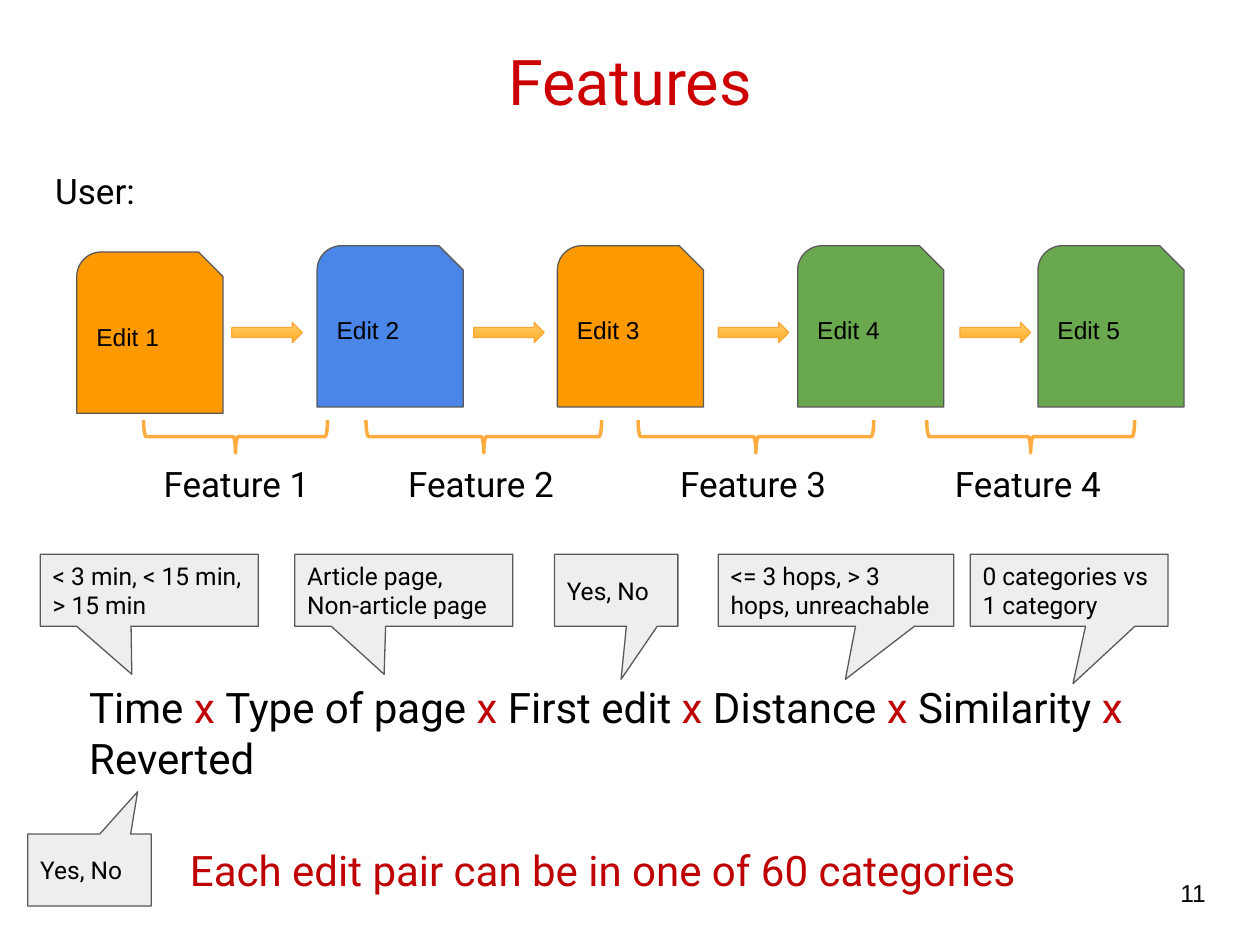
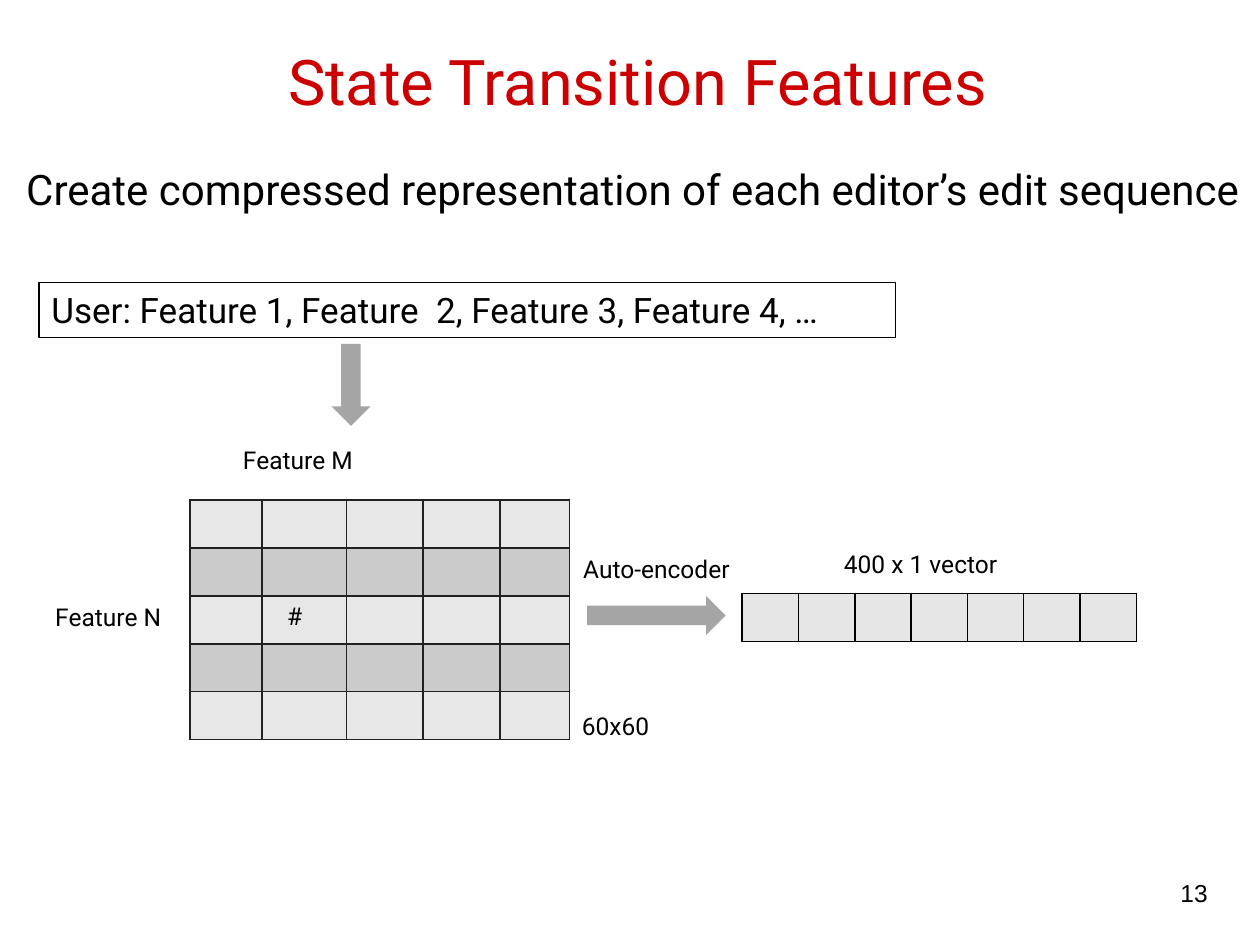
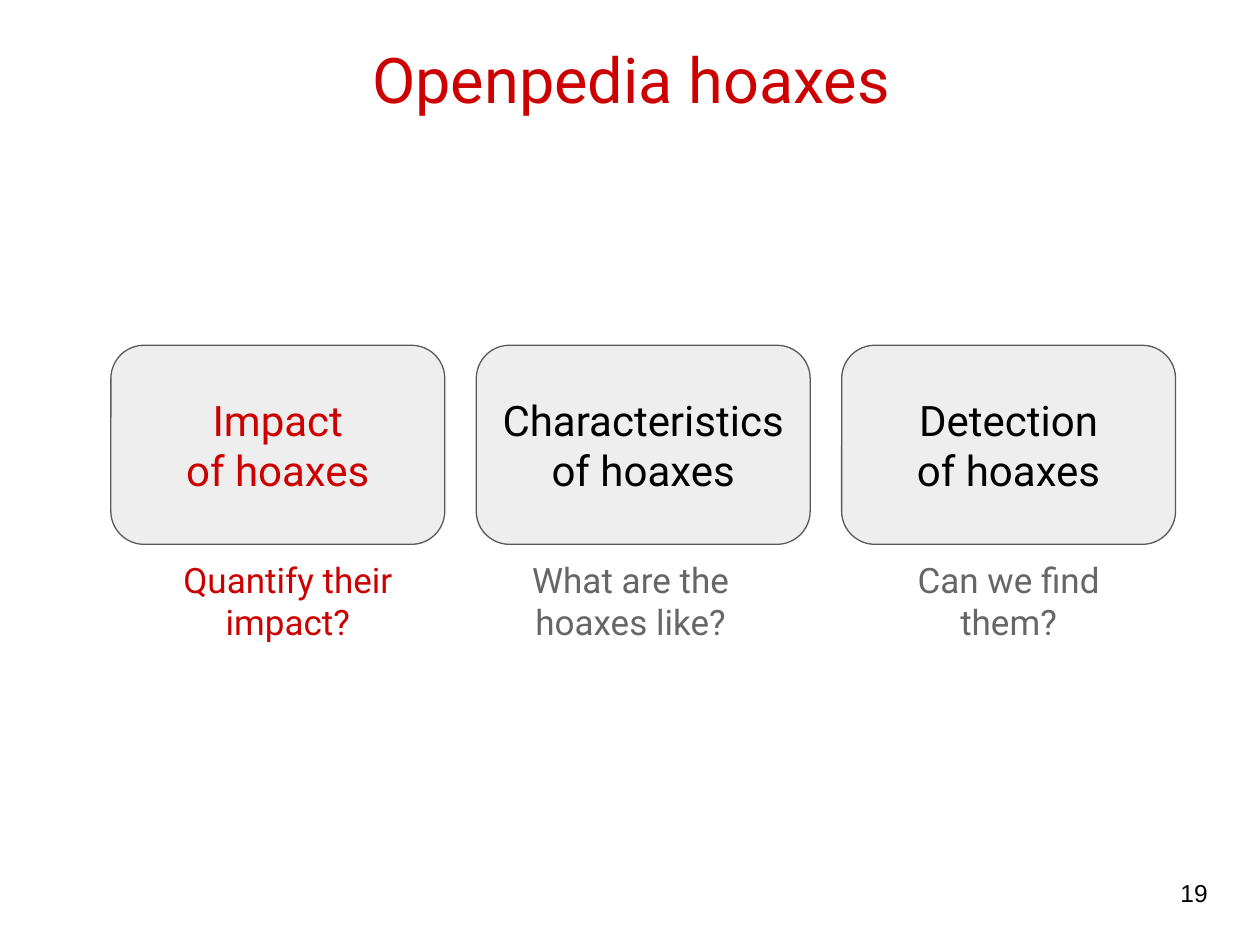
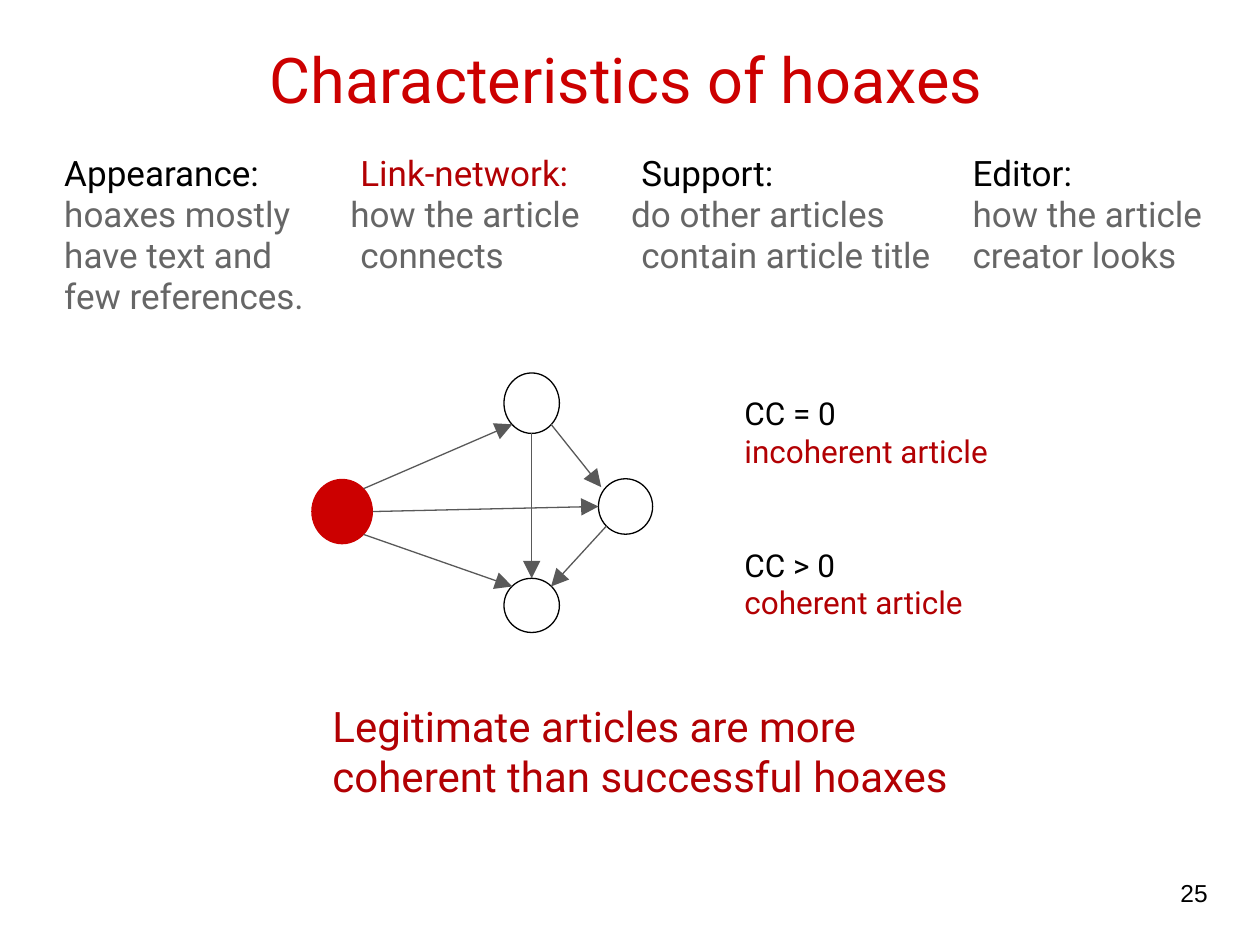
from lxml.etree import SubElement
from pptx import Presentation
from pptx.dml.color import RGBColor
from pptx.enum.shapes import MSO_CONNECTOR, MSO_SHAPE
from pptx.enum.text import MSO_ANCHOR, PP_ALIGN
from pptx.oxml.ns import qn
from pptx.util import Inches, Pt

BLACK = RGBColor(0x00, 0x00, 0x00)
WHITE = RGBColor(0xFF, 0xFF, 0xFF)
TITLE_RED = RGBColor(0xCC, 0x00, 0x00)
FORMULA_RED = RGBColor(0xBE, 0x00, 0x03)
DEEP_RED = RGBColor(0xB2, 0x00, 0x03)
MUTED = RGBColor(0x66, 0x66, 0x66)
OUTLINE = RGBColor(0x59, 0x59, 0x59)
PANEL = RGBColor(0xEE, 0xEE, 0xEE)
ARROW_GRAY = RGBColor(0xA5, 0xA5, 0xA5)
ORANGE = RGBColor(0xFF, 0x99, 0x00)
BLUE = RGBColor(0x4A, 0x86, 0xE8)
GREEN = RGBColor(0x6A, 0xA8, 0x4F)
BRACE = RGBColor(0xFF, 0xAB, 0x40)
ARROW_EDGE = RGBColor(0xFD, 0xA7, 0x39)
ARROW_DARK = RGBColor(0xFF, 0xAE, 0x23)
ARROW_LIGHT = RGBColor(0xFF, 0xCE, 0x6C)
CELL_LIGHT = RGBColor(0xE7, 0xE7, 0xE7)
CELL_DARK = RGBColor(0xCB, 0xCB, 0xCB)
CELL_VECTOR = RGBColor(0xE6, 0xE6, 0xE6)
CELL_EDGE = RGBColor(0x21, 0x21, 0x21)

deck = Presentation()
deck.slide_width = Inches(10)
deck.slide_height = Inches(7.5)
COLUMN = deck.slide_width // 100
ROW = deck.slide_height // 75


def place(page, kind, left, top, width, height, fill=None, line=None, weight=0.75):
    area = [round(left * COLUMN), round(top * ROW), round(width * COLUMN), round(height * ROW)]
    if kind is None:
        return page.shapes.add_textbox(*area)
    shape = page.shapes.add_shape(kind, *area)
    shape.shadow.inherit = False
    if fill is None:
        shape.fill.background()
    else:
        shape.fill.solid()
        shape.fill.fore_color.rgb = fill
    if line is None:
        shape.line.fill.background()
    else:
        shape.line.color.rgb = line
        shape.line.width = Pt(weight)
    return shape


def write(box, text, size, colors=(BLACK,), font="Roboto", align=PP_ALIGN.LEFT,
          anchor=MSO_ANCHOR.TOP, inset=1):
    frame = box.text_frame
    frame.text = text
    frame.word_wrap = True
    frame.vertical_anchor = anchor
    frame.margin_left = frame.margin_right = COLUMN
    frame.margin_top = frame.margin_bottom = round(inset * ROW)
    for number, para in enumerate(frame.paragraphs):
        para.alignment = align
        for span in para.runs:
            span.font.name = font
            span.font.size = Pt(size)
            span.font.color.rgb = colors[min(number, len(colors) - 1)]


pages = []
for title, number, left, top in [
    ("Features", "11", 3.4, 0.2),
    ("State Transition Features", "13", 4, 0.2),
    ("Openpedia hoaxes", "19", 3.5, 0),
    ("Characteristics of hoaxes", "25", 3.1, 0),
]:
    page = deck.slides.add_slide(deck.slide_layouts[6])
    page.background.fill.solid()
    page.background.fill.fore_color.rgb = WHITE
    write(place(page, None, left, top, 93.2, 10.2), title, 36, [TITLE_RED],
          align=PP_ALIGN.CENTER, anchor=MSO_ANCHOR.BOTTOM)
    write(place(page, None, 92.7, 68, 6, 5.7), number, 14, font="Arial", anchor=MSO_ANCHOR.MIDDLE)
    pages.append(page)
features, transitions, hoaxes, traits = pages

write(place(features, None, 3.4, 13, 8.7, 4.4), "User:", 20, inset=0.5)
for index, color in enumerate([ORANGE, BLUE, ORANGE, GREEN, GREEN]):
    edit = place(features, MSO_SHAPE.SNIP_ROUND_RECTANGLE, 6.1 + 19.07 * index,
                 19.5 if index else 20, 11.6, 12.8, color, OUTLINE)
    write(edit, f"Edit {index + 1}", 14, font="Arial", anchor=MSO_ANCHOR.MIDDLE)

for left in [18.4, 37.6, 57, 76.2]:
    arrow = place(features, MSO_SHAPE.RIGHT_ARROW, left, 25.6, 5.6, 1.6, ARROW_DARK, ARROW_EDGE)
    arrow.fill.gradient()
    arrow.fill.gradient_angle = 90
    for stop, color in zip(arrow.fill.gradient_stops, [ARROW_DARK, ARROW_LIGHT]):
        stop.color.rgb = color

for index, (center, span_width, label_left) in enumerate(
        [(18.7, 14.6, 12), (38.4, 18.7, 31.4), (60, 18.7, 53), (81.8, 16.5, 74.8)]):
    brace = place(features, MSO_SHAPE.LEFT_BRACE, center - 1.3, 34.65 - span_width / 2,
                  2.6, span_width, line=BRACE, weight=2)
    brace.rotation = 270
    write(place(features, None, label_left, 36.2, 14, 4.4), f"Feature {index + 1}", 20, inset=0.5)

formula = place(features, None, 6.1, 53.1, 86.6, 10.8)
write(formula, "", 24)
factors = ["Time", "Type of page", "First edit", "Distance", "Similarity", "Reverted"]
for index, factor in enumerate(factors):
    pieces = [(factor, BLACK)] if index == 5 else [(factor + " ", BLACK), ("x ", FORMULA_RED)]
    for text, color in pieces:
        span = formula.text_frame.paragraphs[0].add_run()
        span.text = text
        span.font.name = "Roboto"
        span.font.size = Pt(24)
        span.font.color.rgb = color

for text, left, top, width, tip_x, tip_y in [
    ("< 3 min, < 15 min, > 15 min", 3.2, 44, 17.3, -0.08, 1.17),
    ("Article page, Non-article page", 23.4, 44, 17.3, -0.09, 1.17),
    ("Yes, No", 44, 44, 9.8, 0.04, 1.24),
    ("<= 3 hops, > 3 hops, unreachable", 57, 44, 18.7, 0.04, 1.24),
    ("0 categories vs 1 category", 77, 44, 15.7, 0.02, 1.3),
    ("Yes, No", 2.2, 66.2, 9.8, 0.39, -1.09),
]:
    callout = place(features, MSO_SHAPE.RECTANGULAR_CALLOUT, left, top, width, 5.7, PANEL, OUTLINE)
    callout.adjustments[0] = tip_x
    callout.adjustments[1] = tip_y
    write(callout, text, 14, anchor=MSO_ANCHOR.MIDDLE)
write(place(features, None, 14.1, 66.5, 69.4, 5),
      "Each edit pair can be in one of 60 categories", 24, [FORMULA_RED], inset=0.5)

write(place(transitions, None, 1.1, 12, 100.1, 6),
      "Create compressed representation of each editor’s edit sequence", 24)
write(place(transitions, MSO_SHAPE.RECTANGLE, 3.1, 22.4, 68, 4.4, line=BLACK),
      "User: Feature 1, Feature  2, Feature 3, Feature 4, …", 20, inset=0.5)
for text, left, top, width in [
    ("Feature M", 18.3, 34.8, 15.2),
    ("Feature N", 3.4, 47.3, 11.7),
    ("Auto-encoder", 45.3, 43.5, 16),
    ("60x60", 45.2, 55.9, 10),
    ("400 x 1 vector", 66, 43.1, 23),
]:
    write(place(transitions, None, left, top, width, 3.4), text, 14, inset=0.5)
place(transitions, MSO_SHAPE.RIGHT_ARROW, 46.6, 47.3, 11, 3.1, ARROW_GRAY)
down_arrow = place(transitions, MSO_SHAPE.RIGHT_ARROW, 24.6, 29, 6.5, 3.1, ARROW_GRAY)
down_arrow.rotation = 90

for left, top, widths, row_count, fills, edge in [
    (15.1, 39.7, [5.7, 6.7, 6.1, 6.1, 5.5], 5, [CELL_LIGHT, CELL_DARK], CELL_EDGE),
    (58.9, 47.1, [4.47] * 7, 1, [CELL_VECTOR], BLACK),
]:
    matrix = transitions.shapes.add_table(
        row_count, len(widths), round(left * COLUMN), round(top * ROW),
        round(sum(widths) * COLUMN), round(row_count * 3.8 * ROW)).table
    matrix.first_row = matrix.horz_banding = False
    for column, width in zip(matrix.columns, widths):
        column.width = round(width * COLUMN)
    for row_index, row in enumerate(matrix.rows):
        row.height = round(3.8 * ROW)
        for column_index, cell in enumerate(row.cells):
            cell.margin_top = ROW // 2
            cell.margin_bottom = 0
            properties = cell._tc.get_or_add_tcPr()
            for side in ["a:lnL", "a:lnR", "a:lnT", "a:lnB"]:
                border = SubElement(properties, qn(side), w=str(Pt(1)))
                paint = SubElement(border, qn("a:solidFill"))
                SubElement(paint, qn("a:srgbClr"), val=str(edge))
            cell.fill.solid()
            cell.fill.fore_color.rgb = fills[row_index % len(fills)]
            if (row_count, row_index, column_index) == (5, 2, 1):
                cell.text_frame.text = "#"
                cell.margin_left = 2 * COLUMN
                mark = cell.text_frame.paragraphs[0].runs[0].font
                mark.name = "Roboto"
                mark.size = Pt(14)
                mark.color.rgb = BLACK

for index, (topic, question, topic_color, question_color, question_left) in enumerate([
    ("Impact", "Quantify their impact?", TITLE_RED, TITLE_RED, 11.6),
    ("Characteristics", "What are the hoaxes like?", BLACK, MUTED, 38.8),
    ("Detection", "Can we find them?", BLACK, MUTED, 68.8),
]):
    card = place(hoaxes, MSO_SHAPE.ROUNDED_RECTANGLE, 8.8 + 29 * index, 27.4, 26.5, 15.8,
                 PANEL, OUTLINE)
    write(card, topic + "\nof hoaxes", 24, [topic_color], align=PP_ALIGN.CENTER,
          anchor=MSO_ANCHOR.MIDDLE)
    write(place(hoaxes, None, question_left, 43.3, 22.5, 13.8), question, 20, [question_color],
          align=PP_ALIGN.CENTER)

nodes = {}
for name, left, top, width, height, fill, line in [
    ("source", 24.7, 38, 4.9, 5.2, TITLE_RED, None),
    ("upper", 40, 29.6, 4.4, 4.8, WHITE, BLACK),
    ("right", 47.5, 38, 4.3, 4.4, WHITE, BLACK),
    ("lower", 40, 45.9, 4.4, 4.3, WHITE, BLACK),
]:
    nodes[name] = place(traits, MSO_SHAPE.OVAL, left, top, width, height, fill, line)

for start, start_x, start_y, end, end_x, end_y in [
    ("source", 0.85, 0.15, "upper", 0.15, 0.85),
    ("source", 1, 0.5, "right", 0, 0.5),
    ("source", 0.85, 0.85, "lower", 0.15, 0.15),
    ("upper", 0.85, 0.85, "right", 0.05, 0.15),
    ("right", 0.15, 0.85, "lower", 0.85, 0.15),
    ("upper", 0.5, 1, "lower", 0.5, 0),
]:
    ends = []
    for node, share_x, share_y in [(nodes[start], start_x, start_y), (nodes[end], end_x, end_y)]:
        ends += [round(node.left + node.width * share_x), round(node.top + node.height * share_y)]
    link = traits.shapes.add_connector(MSO_CONNECTOR.STRAIGHT, *ends)
    link.line.color.rgb = OUTLINE
    link.line.width = Pt(0.75)
    SubElement(link.line._get_or_add_ln(), qn("a:tailEnd"), type="triangle", w="lg", len="lg")
    SubElement(link._element.spPr, qn("a:effectLst"))

for text, top in [("CC = 0\nincoherent article", 30.3), ("CC > 0\ncoherent article", 42.3)]:
    write(place(traits, None, 58.1, top, 26.4, 7.5), text, 18, [BLACK, DEEP_RED])
write(place(traits, None, 25.4, 54.6, 52.9, 15.6),
      "Legitimate articles are more coherent than successful hoaxes", 24, [DEEP_RED])

trait_widths = [23.5, 22.3, 26.3, 22]
trait_table = traits.shapes.add_table(
    1, 4, 3 * COLUMN, round(11.2 * ROW), round(sum(trait_widths) * COLUMN), round(15.4 * ROW)).table
trait_table.first_row = trait_table.horz_banding = False
for index, (text, color, hanging) in enumerate([
    ("Appearance:\nhoaxes mostly have text and\nfew references.", BLACK, 0),
    ("Link-network:\nhow the article connects", DEEP_RED, 0.08),
    ("Support:\ndo other articles contain article title", BLACK, 0.08),
    ("Editor:\nhow the article creator looks", BLACK, 0),
]):
    trait_table.columns[index].width = round(trait_widths[index] * COLUMN)
    cell = trait_table.cell(0, index)
    cell.fill.background()
    write(cell, text, 20, [color, MUTED])
    cell.margin_left = cell.margin_right = COLUMN
    cell.margin_top = cell.margin_bottom = ROW
    for number, para in enumerate(cell.text_frame.paragraphs):
        properties = para._p.get_or_add_pPr()
        properties.set("marL", str(Inches(0.11)))
        properties.set("indent", str(-Inches(hanging) if number else 0))

deck.save("out.pptx")
